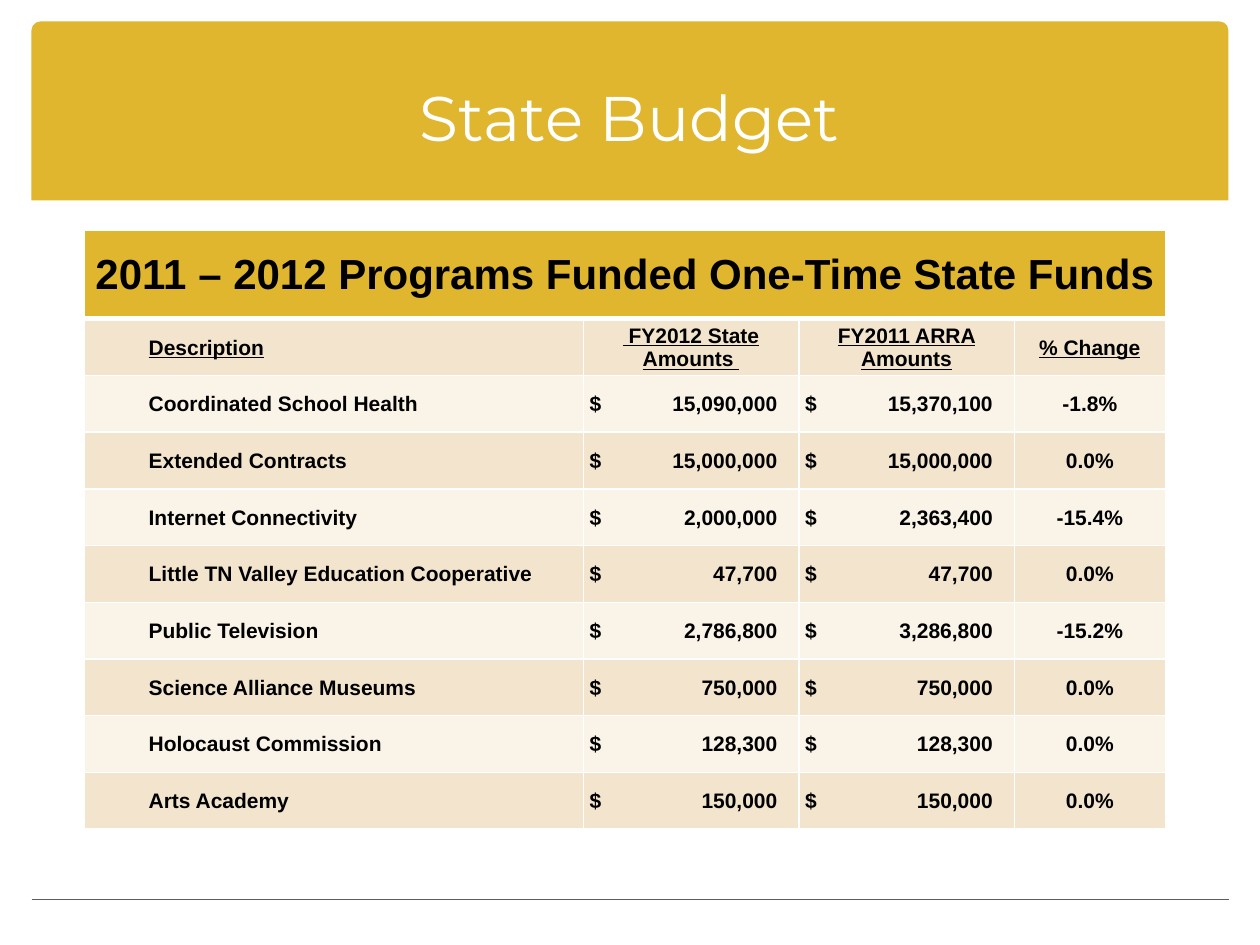
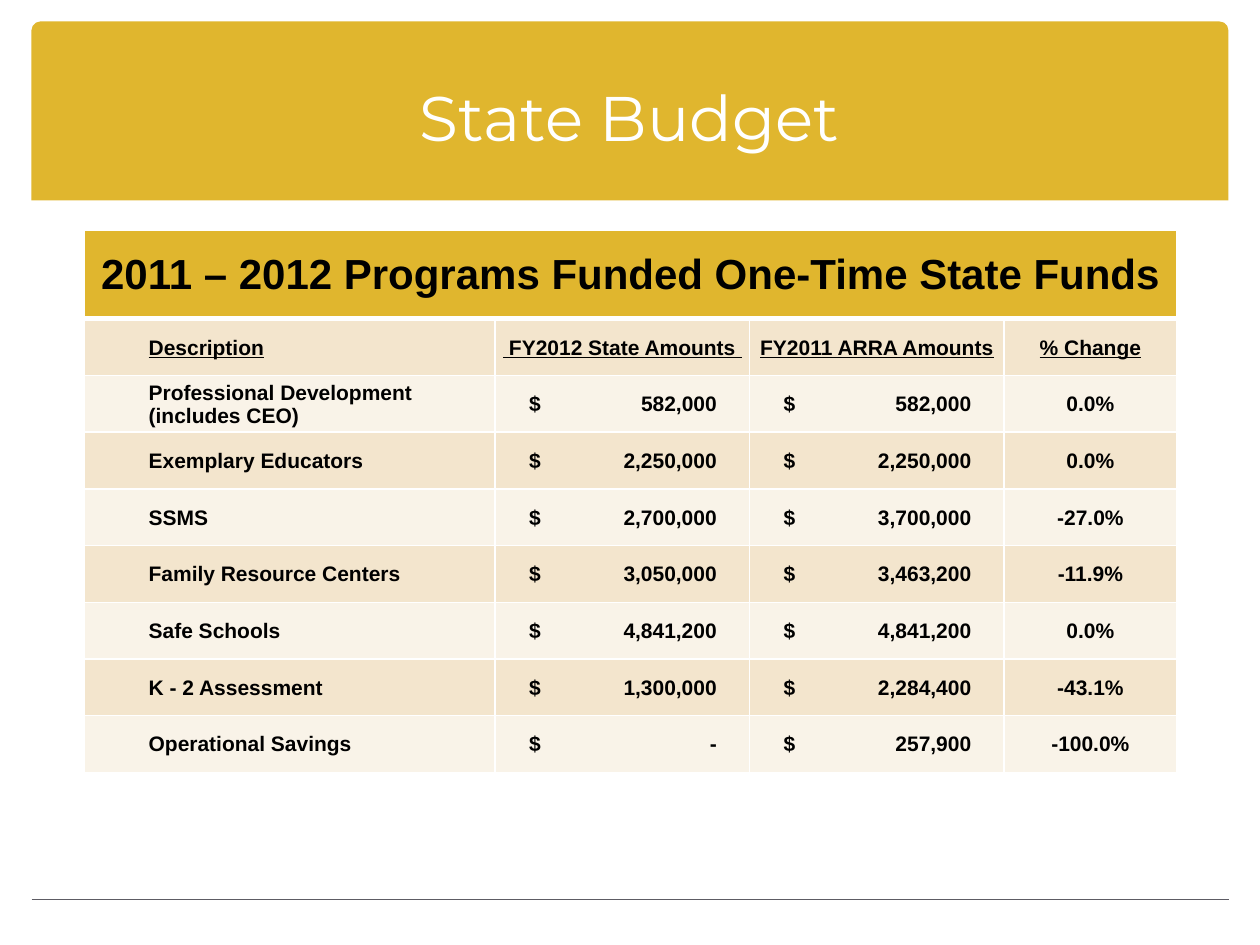
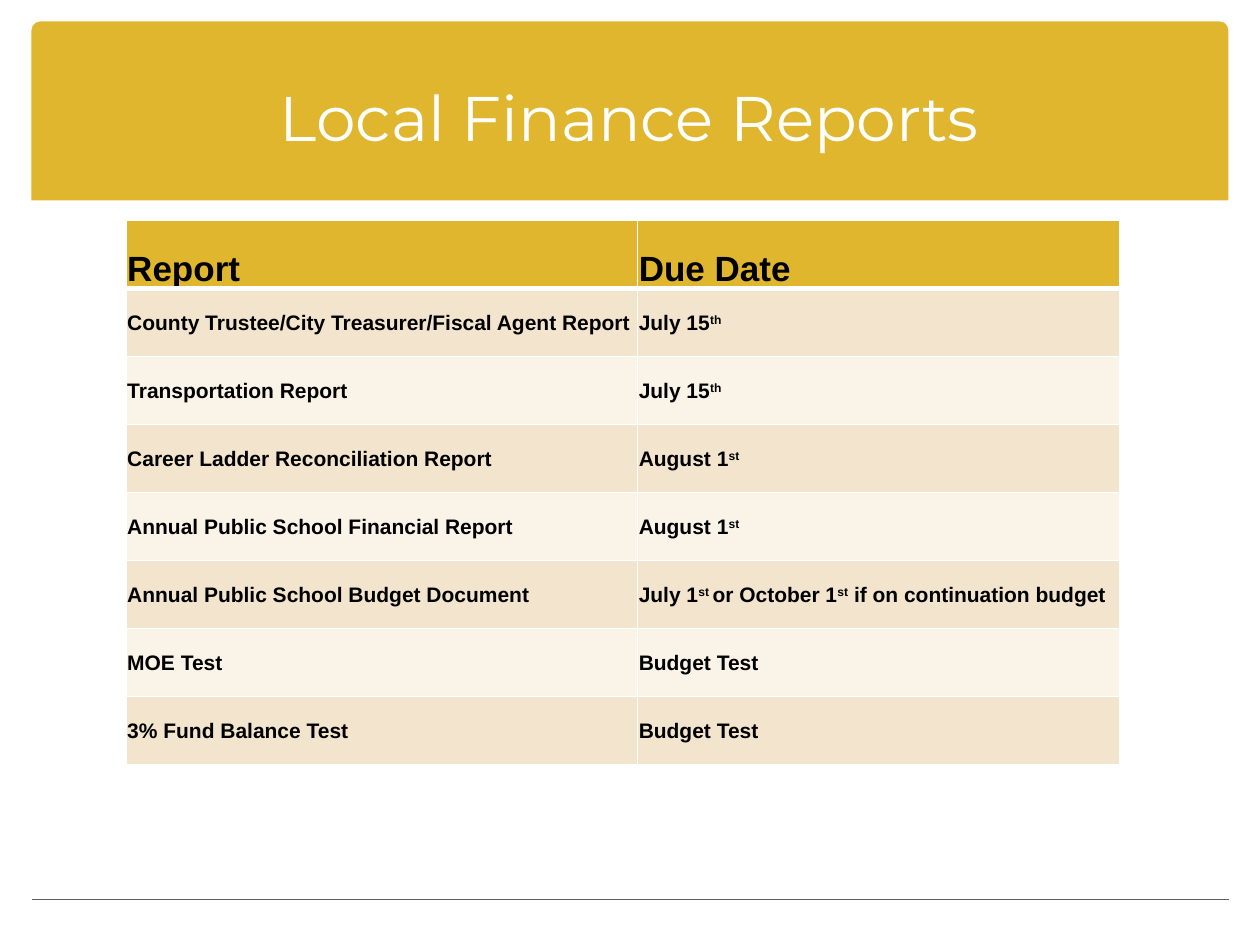
from lxml.etree import SubElement
from pptx import Presentation
from pptx.dml.color import RGBColor
from pptx.enum.shapes import MSO_CONNECTOR, MSO_SHAPE
from pptx.enum.text import MSO_ANCHOR, PP_ALIGN
from pptx.oxml.ns import qn
from pptx.util import Inches, Pt

COLORS = {"gold": "E0B62E", "sand": "F3E5CD", "cream": "F9F3E8",
          "white": "FFFFFF", "black": "000000", "rule": "5D5C64"}
TITLE_FONT, BODY_FONT = "Montserrat", "Arial"

FUNDS_HEADING = "2011 – 2012 Programs Funded One-Time State Funds"
FUNDS_COLUMNS = ("Description", " FY2012 State Amounts ", "FY2011 ARRA Amounts", "% Change")
AMOUNT_TAB = 1.49

BUDGETS = [
    {"title": "State Budget", "widths": (3.96, 1.71, 1.71, 1.2), "amount_inset": 0.05,
     "rows": [
         ("Coordinated School Health", "15,090,000", "15,370,100", "-1.8%"),
         ("Extended Contracts", "15,000,000", "15,000,000", "0.0%"),
         ("Internet Connectivity", "2,000,000", "2,363,400", "-15.4%"),
         ("Little TN Valley Education Cooperative", "47,700", "47,700", "0.0%"),
         ("Public Television", "2,786,800", "3,286,800", "-15.2%"),
         ("Science Alliance Museums", "750,000", "750,000", "0.0%"),
         ("Holocaust Commission", "128,300", "128,300", "0.0%"),
         ("Arts Academy", "150,000", "150,000", "0.0%"),
     ]},
    {"title": "State Budget", "widths": (3.26, 2.02, 2.02, 1.37), "amount_inset": 0.27,
     "rows": [
         ("Professional Development (includes CEO)", "582,000", "582,000", "0.0%"),
         ("Exemplary Educators", "2,250,000", "2,250,000", "0.0%"),
         ("SSMS", "2,700,000", "3,700,000", "-27.0%"),
         ("Family Resource Centers", "3,050,000", "3,463,200", "-11.9%"),
         ("Safe Schools", "4,841,200", "4,841,200", "0.0%"),
         ("K - 2 Assessment", "1,300,000", "2,284,400", "-43.1%"),
         ("Operational Savings", "-", "257,900", "-100.0%"),
     ]},
]

# Text between carets is superscript.
REPORTS = {
    "title": "Local Finance Reports", "widths": (4.06, 3.83),
    "heads": ("Report", "Due Date"),
    "rows": [
        ("County Trustee/City Treasurer/Fiscal Agent Report", "July 15^th^"),
        ("Transportation Report", "July 15^th^"),
        ("Career Ladder Reconciliation Report", "August 1^st^"),
        ("Annual Public School Financial Report", "August 1^st^"),
        ("Annual Public School Budget Document",
         "July 1^st ^or October 1^st^ if on continuation budget"),
        ("MOE Test", "Budget Test"),
        ("3% Fund Balance Test", "Budget Test"),
    ],
}


def rgb(name):
    return RGBColor.from_string(COLORS[name])


def write(p, text, color="black", align=PP_ALIGN.LEFT, **font):
    """Fill a paragraph, raising the parts between carets."""
    p.alignment = align
    for i, part in enumerate(text.split("^")):
        if not part:
            continue
        r = p.add_run()
        r.text = part
        r.font.color.rgb = rgb(color)
        for name, value in font.items():
            setattr(r.font, name, value)
        if i % 2:
            r.font._element.set("baseline", "30000")


def add_titled_slide(prs, title):
    """Add a slide with the gold band, its title and the bottom rule."""
    s = prs.slides.add_slide(prs.slide_layouts[6])
    band = s.shapes.add_shape(MSO_SHAPE.ROUND_2_SAME_RECTANGLE,
                              Inches(0.25), Inches(0.17), Inches(9.5), Inches(1.42))
    band.adjustments[0], band.adjustments[1] = 0.05, 0
    band.shadow.inherit = False
    band.fill.solid()
    band.fill.fore_color.rgb = rgb("gold")
    band.line.fill.background()

    rule = s.shapes.add_connector(MSO_CONNECTOR.STRAIGHT, Inches(0.25), Inches(7.14),
                                  Inches(9.75), Inches(7.14))
    rule.line.color.rgb = rgb("rule")
    rule.line.width = Pt(1)
    SubElement(rule._element.spPr, qn("a:effectLst"))

    box = s.shapes.add_textbox(Inches(0.33), Inches(0.3), Inches(9.33), Inches(1.25))
    tf = box.text_frame
    tf.word_wrap = True
    tf.vertical_anchor = MSO_ANCHOR.MIDDLE
    write(tf.paragraphs[0], title, "white", PP_ALIGN.CENTER, name=TITLE_FONT, size=Pt(36))
    return s


def set_borders(cell, **widths):
    """Draw white borders: 1 pt unless lnL, lnR, lnT or lnB says otherwise."""
    tcPr = cell._tc.get_or_add_tcPr()
    for side in ("lnL", "lnR", "lnT", "lnB"):
        ln = SubElement(tcPr, qn(f"a:{side}"), w=str(Pt(widths.get(side, 1))))
        fill = SubElement(ln, qn("a:solidFill"))
        SubElement(fill, qn("a:srgbClr"), val=COLORS["white"])


def add_banded_table(s, left, top, widths, heights):
    """Add an empty table with a gold first row and alternating bands below."""
    table = s.shapes.add_table(len(heights), len(widths), Inches(left), Inches(top),
                               Inches(sum(widths)), Inches(sum(heights))).table
    for column, width in zip(table.columns, widths):
        column.width = Inches(width)
    for i, (row, height) in enumerate(zip(table.rows, heights)):
        row.height = Inches(height)
        for cell in row.cells:
            set_borders(cell, **({"lnB": 3} if i == 0 else {"lnT": 3} if i == 1 else {}))
            cell.fill.solid()
            cell.fill.fore_color.rgb = rgb("gold" if i == 0 else "sand" if i % 2 else "cream")
            cell.vertical_anchor = MSO_ANCHOR.MIDDLE
            cell.margin_left = cell.margin_right = cell.margin_top = Inches(0.01)
            cell.margin_bottom = 0
    return table


def write_cell(cell, text, size=12, align=PP_ALIGN.LEFT, **font):
    write(cell.text_frame.paragraphs[0], text, align=align,
          name=BODY_FONT, size=Pt(size), bold=True, **font)


def write_amount(cell, amount, inset):
    """Dollar sign at the left, figures against a right tab stop."""
    cell.margin_left = Inches(inset)
    write_cell(cell, f"$\t{amount}")
    pPr = cell.text_frame.paragraphs[0]._p.get_or_add_pPr()
    tabs = SubElement(pPr, qn("a:tabLst"))
    SubElement(tabs, qn("a:tab"), pos=str(Inches(AMOUNT_TAB)), algn="r")


def add_budget_slide(prs, budget):
    s = add_titled_slide(prs, budget["title"])
    rows = budget["rows"]
    table = add_banded_table(s, 0.67, 1.83, budget["widths"], [0.7] + [0.45] * (len(rows) + 1))
    table.cell(0, 0).merge(table.cell(0, 3))
    write_cell(table.cell(0, 0), FUNDS_HEADING, 24, PP_ALIGN.CENTER)

    for j, head in enumerate(FUNDS_COLUMNS):
        write_cell(table.cell(1, j), head, underline=True,
                   align=PP_ALIGN.CENTER if j else PP_ALIGN.LEFT)
    for i, (program, *amounts, change) in enumerate(rows, 2):
        write_cell(table.cell(i, 0), program)
        for j, amount in enumerate(amounts, 1):
            write_amount(table.cell(i, j), amount, budget["amount_inset"])
        write_cell(table.cell(i, 3), change, align=PP_ALIGN.CENTER)
    for i in range(1, len(rows) + 2):
        table.cell(i, 0).margin_left = Inches(0.51)


def add_reports_slide(prs, reports):
    s = add_titled_slide(prs, reports["title"])
    rows = [reports["heads"], *reports["rows"]]
    table = add_banded_table(s, 1, 1.75, reports["widths"], [0.54] * len(rows))
    for i, row in enumerate(rows):
        for j, text in enumerate(row):
            write_cell(table.cell(i, j), text, 12 if i else 20)
    for cell in table.rows[0].cells:
        cell.vertical_anchor = MSO_ANCHOR.BOTTOM


def main():
    prs = Presentation()
    prs.slide_width, prs.slide_height = Inches(10), Inches(7.5)
    for budget in BUDGETS:
        add_budget_slide(prs, budget)
    add_reports_slide(prs, REPORTS)
    prs.save("out.pptx")


if __name__ == "__main__":
    main()
